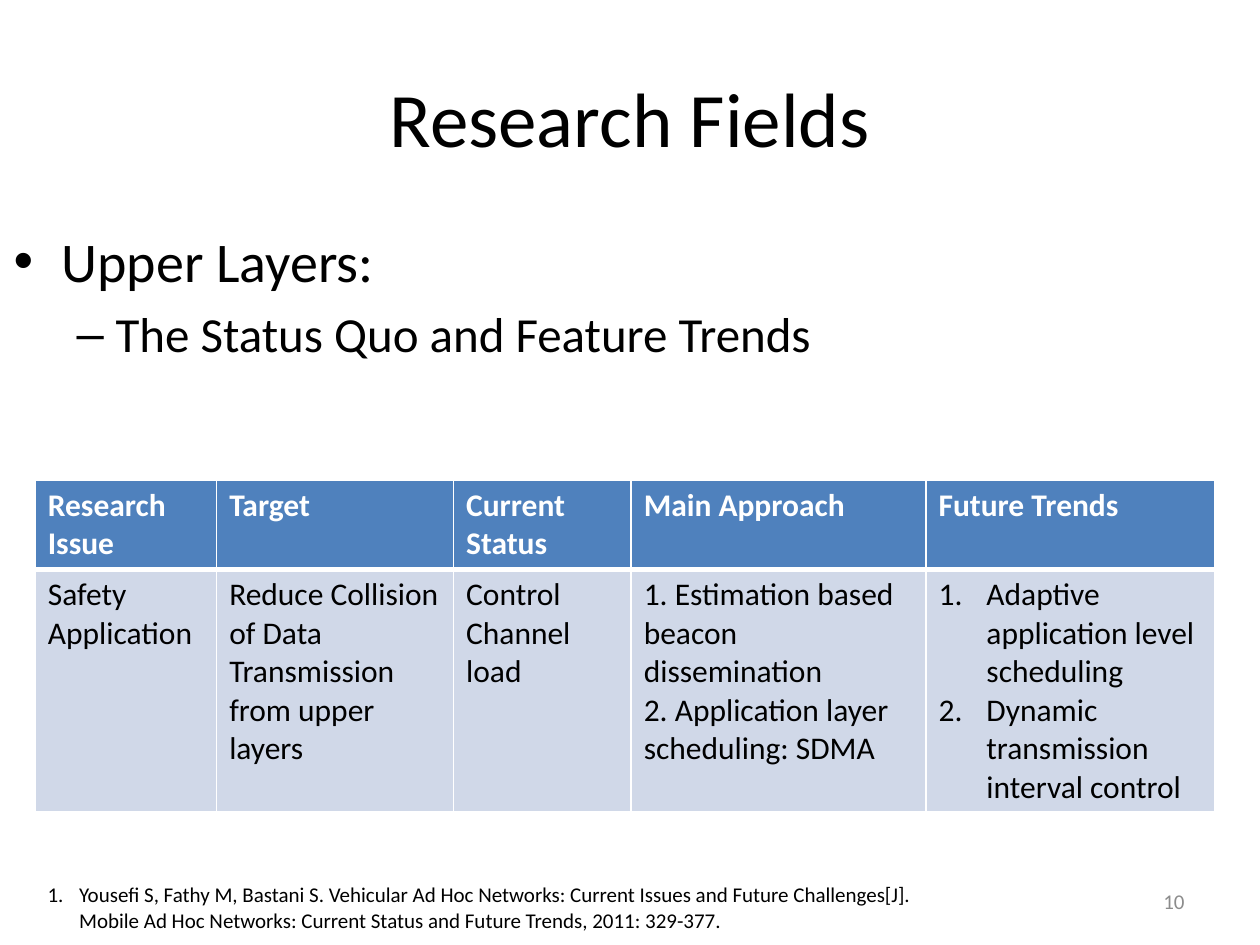
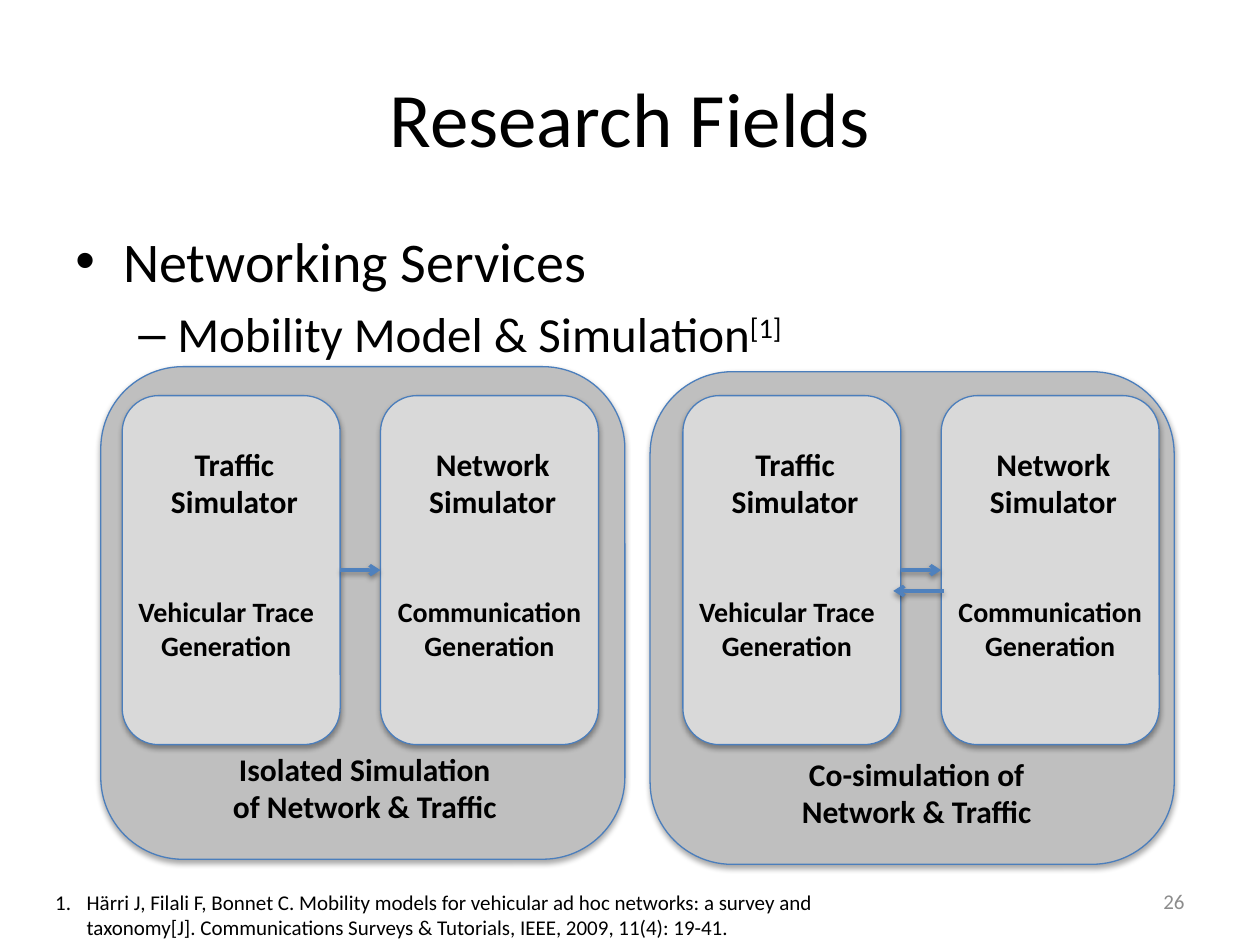
from lxml.etree import SubElement
from pptx import Presentation
from pptx.dml.color import RGBColor
from pptx.enum.shapes import MSO_CONNECTOR, MSO_SHAPE
from pptx.enum.text import MSO_ANCHOR, PP_ALIGN
from pptx.oxml.ns import qn
from pptx.util import Inches, Pt

COLORS = {
    "paper": "FFFFFF", "ink": "000000", "number": "8C8C8C",
    "header": "4F81BD", "row": "D0D8E8", "panel": "BFBFBF",
    "card": "D9D9D9", "outline": "4B7EBC", "arrow": "4F81BD",
}
FONT = "Calibri"
NUMBERED = "1."

TREND_COLUMNS = [
    (1.44, "Research Issue", ["Safety Application"]),
    (1.88, "Target", ["Reduce Collision of Data Transmission from upper layers"]),
    (1.41, "Current Status", ["Control Channel load"]),
    (2.34, "Main Approach", ["1. Estimation based beacon dissemination",
                             "2. Application layer scheduling: SDMA"]),
    (2.29, "Future Trends", ["Adaptive application level scheduling",
                             "Dynamic transmission interval control"]),
]
ROW_HEIGHTS = (0.71, 1.92)

# Name, task, and offset of the task text from the left edge of the card
SIMULATORS = [
    ("Traffic Simulator", ["Vehicular Trace", "Generation"], -0.17),
    ("Network Simulator", ["Communication", "Generation"], -0.13),
]
CARD_TOP, CARD_WIDTH, CARD_HEIGHT, CARD_STEP = 3.14, 1.73, 2.77, 2.05


def rgb(name):
    return RGBColor.from_string(COLORS[name])


def write(frame, text, size=18, color="ink", bold=False, align=PP_ALIGN.LEFT,
          bullet=None, indent=(0, 0), level=0, space_before=0, superscript=""):
    """Add a paragraph to the frame, filling its empty first one if unused."""
    paragraph = frame.paragraphs[0] if not frame.text else frame.add_paragraph()
    paragraph.alignment = align
    paragraph.level = level
    paragraph.space_before = Pt(space_before)
    if bullet:
        properties = paragraph._p.get_or_add_pPr()
        margin, hanging = indent
        properties.set("marL", str(Inches(margin)))
        properties.set("indent", str(Inches(hanging)))
        SubElement(properties, qn("a:buFont"), typeface="Arial" if bullet != NUMBERED else FONT)
        if bullet == NUMBERED:
            SubElement(properties, qn("a:buAutoNum"), type="arabicPeriod")
        else:
            SubElement(properties, qn("a:buChar"), char=bullet)
    for part in filter(None, (text, superscript)):
        run = paragraph.add_run()
        run.text = part
        run.font.name = FONT
        run.font.size = Pt(size)
        run.font.bold = bold
        run.font.color.rgb = rgb(color)
    if superscript:
        run._r.get_or_add_rPr().set("baseline", "30000")


def add_shadow(element, distance, opacity):
    effects = SubElement(element.spPr, qn("a:effectLst"))
    shadow = SubElement(effects, qn("a:outerShdw"), blurRad=str(Pt(3.1)),
                        dist=str(Pt(distance)), dir="5400000", rotWithShape="0")
    black = SubElement(shadow, qn("a:srgbClr"), val=COLORS["ink"])
    SubElement(black, qn("a:alpha"), val=str(opacity * 1000))


def add_borders(cell, bottom_width):
    properties = cell._tc.get_or_add_tcPr()
    for side, width in (("L", 1), ("R", 1), ("T", 1), ("B", bottom_width)):
        border = SubElement(properties, qn(f"a:ln{side}"), w=str(Pt(width)))
        fill = SubElement(border, qn("a:solidFill"))
        SubElement(fill, qn("a:srgbClr"), val=COLORS["paper"])


class Deck:
    def __init__(self):
        self.presentation = Presentation()
        self.presentation.slide_width = Inches(10)
        self.presentation.slide_height = Inches(7.5)
        self.slide = None

    def start_slide(self, title, number):
        """Add a slide with the shared background, title and page number."""
        self.slide = self.presentation.slides.add_slide(self.presentation.slide_layouts[6])
        background = self.slide.background.fill
        background.solid()
        background.fore_color.rgb = rgb("paper")
        self.text(0.5, 0.3, 9, 1.25, [title], anchor=MSO_ANCHOR.MIDDLE,
                  size=44, align=PP_ALIGN.CENTER)
        self.text(7.17, 6.95, 2.33, 0.4, [number], anchor=MSO_ANCHOR.MIDDLE,
                  size=12, color="number", align=PP_ALIGN.RIGHT)

    def text(self, left, top, width, height, lines, anchor=MSO_ANCHOR.TOP, **style):
        box = self.slide.shapes.add_textbox(
            Inches(left), Inches(top), Inches(width), Inches(height))
        frame = box.text_frame
        frame.word_wrap = True
        frame.vertical_anchor = anchor
        for line in lines:
            write(frame, line, **style)
        return frame

    def label(self, left, top, width, height, lines, size=18):
        self.text(left, top, width, height, lines, size=size, bold=True,
                  align=PP_ALIGN.CENTER)

    def outline(self, left, topic, subtopic, superscript=""):
        frame = self.text(left, 1.75, 9, 4.95, [topic], size=32,
                          bullet="•", indent=(0.38, -0.38))
        write(frame, subtopic, size=28, bullet="–", indent=(0.81, -0.31),
              level=1, space_before=5.6, superscript=superscript)

    def reference(self, left, top, width, citation):
        self.text(left, top, width, 0.5, [citation], size=12,
                  bullet=NUMBERED, indent=(0.25, -0.25))

    def table(self, left, top, columns, row_heights):
        width = sum(column[0] for column in columns)
        table = self.slide.shapes.add_table(
            len(row_heights), len(columns), Inches(left), Inches(top),
            Inches(width), Inches(sum(row_heights))).table
        for row, height in zip(table.rows, row_heights):
            row.height = Inches(height)
        for index, (column_width, heading, details) in enumerate(columns):
            table.columns[index].width = Inches(column_width)
            numbered = heading == "Future Trends"
            self.cell(table.cell(0, index), [heading], "header", 3,
                      color="paper", bold=True)
            self.cell(table.cell(1, index), details, "row", 1,
                      bullet=NUMBERED if numbered else None, indent=(0.38, -0.38))

    def cell(self, cell, lines, fill, bottom_width, **style):
        add_borders(cell, bottom_width)
        cell.fill.solid()
        cell.fill.fore_color.rgb = rgb(fill)
        for line in lines:
            write(cell.text_frame, line, **style)

    def rounded(self, left, top, width, height, fill):
        shape = self.slide.shapes.add_shape(
            MSO_SHAPE.ROUNDED_RECTANGLE, Inches(left), Inches(top),
            Inches(width), Inches(height))
        shape.fill.solid()
        shape.fill.fore_color.rgb = rgb(fill)
        shape.line.color.rgb = rgb("outline")
        shape.line.width = Pt(0.75)
        add_shadow(shape._element, 1.8, 35)
        return shape

    def arrow(self, start, end):
        connector = self.slide.shapes.add_connector(
            MSO_CONNECTOR.STRAIGHT, *map(Inches, start + end))
        connector.line.color.rgb = rgb("arrow")
        connector.line.width = Pt(2)
        SubElement(connector.line._get_or_add_ln(), qn("a:tailEnd"), type="arrow")
        add_shadow(connector._element, 1.6, 38)
        return connector

    def simulation(self, left, top, first_card, caption_left, caption_top, caption):
        """Draw a panel with the two simulators joined by an arrow."""
        self.rounded(left, top, 4.16, 3.91, "panel")
        cards = []
        for index, (name, task, task_offset) in enumerate(SIMULATORS):
            card_left = first_card + index * CARD_STEP
            cards.append(self.rounded(card_left, CARD_TOP, CARD_WIDTH, CARD_HEIGHT, "card"))
            self.label(card_left + 0.2, 3.48, 1.38, 0.71, [name])
            self.label(card_left + task_offset, 4.67, 1.99, 0.64, task, size=16)
        middle = CARD_TOP + CARD_HEIGHT / 2
        link = self.arrow((first_card + CARD_WIDTH, middle),
                          (first_card + CARD_STEP, middle))
        link.begin_connect(cards[0], 3)
        link.end_connect(cards[1], 1)
        self.label(caption_left, caption_top, 2.39, 1.01, [caption])


def main():
    deck = Deck()

    deck.start_slide("Research Fields", "10")
    deck.outline(0.01, "Upper Layers:", "The Status Quo and Feature Trends")
    deck.table(0.28, 3.81, TREND_COLUMNS, ROW_HEIGHTS)
    deck.reference(0.28, 6.95, 7.34,
                   "Yousefi S, Fathy M, Bastani S. Vehicular Ad Hoc Networks: Current Issues "
                   "and Future Challenges[J]. Mobile Ad Hoc Networks: Current Status and "
                   "Future Trends, 2011: 329-377.")

    deck.start_slide("Research Fields", "26")
    deck.outline(0.5, "Networking Services", "Mobility Model & Simulation", superscript="[1]")
    deck.simulation(0.8, 2.91, 0.97, 1.7, 5.9, "Isolated Simulation of Network & Traffic")
    deck.simulation(5.16, 2.95, 5.42, 6.08, 5.94, "Co-simulation of Network & Traffic")
    deck.arrow((7.49, 4.69), (7.09, 4.69))
    deck.reference(0.34, 7.01, 7,
                   "Härri J, Filali F, Bonnet C. Mobility models for vehicular ad hoc networks: "
                   "a survey and taxonomy[J]. Communications Surveys & Tutorials, IEEE, 2009, "
                   "11(4): 19-41.")

    deck.presentation.save("out.pptx")


if __name__ == "__main__":
    main()
